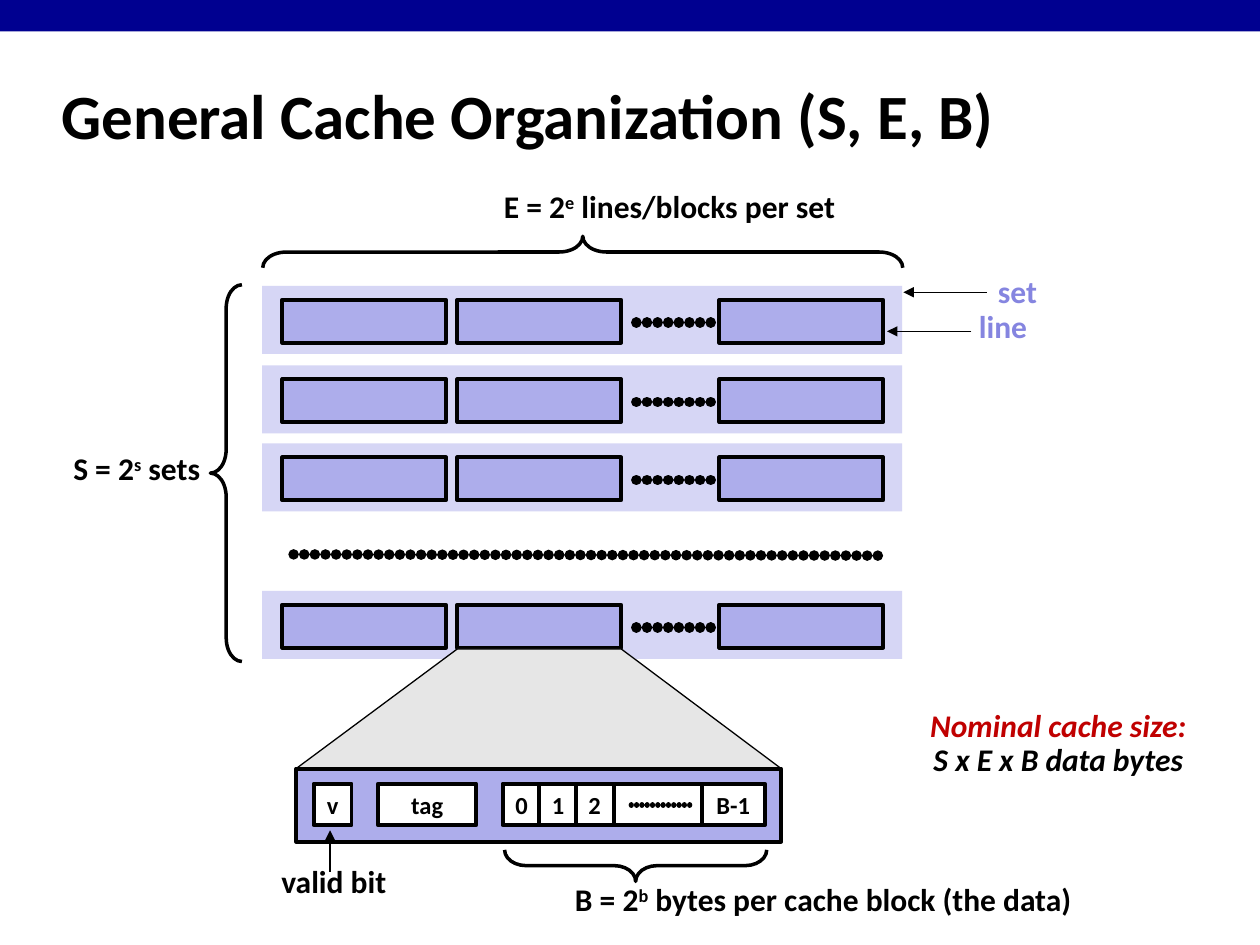
import pptx
import pptx.util
import pptx.dml.color
import pptx.enum.shapes
import pptx.enum.text
import pptx.oxml.ns
from lxml import etree

Inches, Pt = pptx.util.Inches, pptx.util.Pt
SHAPE = pptx.enum.shapes.MSO_SHAPE
ALIGN = pptx.enum.text.PP_ALIGN
ANCHOR = pptx.enum.text.MSO_ANCHOR
qn = pptx.oxml.ns.qn

FONT = "Calibri"
BLACK, WHITE, NAVY, RED = "000000", "FFFFFF", "000090", "C00000"
SET_FILL, LINE_FILL, LABEL, ZOOM_FILL = "D6D6F5", "ADADEB", "8585E0", "E6E6E6"

TITLE = "General Cache Organization (S, E, B)"
# Each label: left, top, width, height, paragraphs of (text, colour); ^x^ is a superscript
LABELS = [
    (3.9, 1.47, 2.83, 0.37, [("E = 2^e^ lines/blocks per set", BLACK)]),
    (0.48, 3.55, 1.21, 0.37, [("S = 2^s^ sets", BLACK)]),
    (7.82, 2.14, 0.51, 0.37, [("set", LABEL)]),
    (7.67, 2.42, 0.58, 0.37, [("line", LABEL)]),
    (2.13, 6.83, 1.04, 0.37, [("valid bit", BLACK)]),
    (4.46, 6.97, 4.15, 0.37, [("B = 2^b^ bytes per cache block (the data)", BLACK)]),
]
SIZE_NOTE = (7.28, 5.59, 2.24, 0.64,
             [("Nominal cache size:", RED), ("S x E x B data bytes", BLACK)])

SET_LEFT, SET_W, SET_H = 2.08, 5.08, 0.54
SET_TOPS = [2.27, 2.9, 3.52, 4.69]
LINE_LEFTS, LINE_W, LINE_H, LINE_INSET = [2.24, 3.63, 5.71], 1.3, 0.34, 0.11

BLOCK = (2.35, 6.1, 3.85, 0.58)
FIELD_TOP, FIELD_H = 6.22, 0.33
FIELDS = [(2.49, 0.3, "v"), (3, 0.78, "tag"), (3.99, 0.3, "0"), (4.28, 0.3, "1"),
          (4.57, 0.3, "2"), (4.87, 0.7, ""), (5.57, 0.5, "B-1")]

# Each brace: left, top, width, height, rotation, curl
BRACES = [(4.5, -0.54, 0.25, 5.08, 90, 0.75),
          (1.67, 2.26, 0.25, 2.99, 0, 0.75),
          (4.92, 5.83, 0.25, 2.08, 270, 0.68)]
ARROWS = [(7.83, 2.32, 7.17, 2.32), (7.71, 2.63, 7.04, 2.63), (2.62, 6.92, 2.62, 6.59)]

prs = pptx.Presentation()
prs.slide_width, prs.slide_height = Inches(10), Inches(7.5)
slide = prs.slides.add_slide(prs.slide_layouts[6])
shapes = slide.shapes


def rgb(color):
    return pptx.dml.color.RGBColor.from_string(color)


def paint(s, fill=None, width=None):
    s.shadow.inherit = False
    if fill:
        s.fill.solid()
        s.fill.fore_color.rgb = rgb(fill)
    else:
        s.fill.background()
    if width:
        s.line.color.rgb = rgb(BLACK)
        s.line.width = Pt(width)
    else:
        s.line.fill.background()


def box(left, top, width, height, fill, line_width=None):
    s = shapes.add_shape(SHAPE.RECTANGLE, *map(Inches, (left, top, width, height)))
    paint(s, fill, line_width)
    return s


def style(r, size, color=BLACK, italic=False):
    r.font.name, r.font.size = FONT, Pt(size)
    r.font.bold, r.font.italic = True, italic
    r.font.color.rgb = rgb(color)


def label(left, top, width, height, lines, italic=False):
    s = shapes.add_textbox(*map(Inches, (left, top, width, height)))
    tf = s.text_frame
    tf.word_wrap = False
    tf.auto_size = pptx.enum.text.MSO_AUTO_SIZE.SHAPE_TO_FIT_TEXT
    for i, (text, color) in enumerate(lines):
        p = tf.add_paragraph() if i else tf.paragraphs[0]
        p.alignment, p.line_spacing = ALIGN.CENTER, 0.9
        for j, part in enumerate(text.split("^")):
            r = p.add_run()
            r.text = part
            style(r, 18, color, italic)
            if j % 2:
                r.font._element.set("baseline", "30000")


def connector(x1, y1, x2, y2, width):
    s = shapes.add_connector(pptx.enum.shapes.MSO_CONNECTOR.STRAIGHT,
                             *map(Inches, (x1, y1, x2, y2)))
    s.line.color.rgb = rgb(BLACK)
    s.line.width = Pt(width)
    etree.SubElement(s._element.spPr, qn("a:effectLst"))
    return s.line._get_or_add_ln()


def arrow(x1, y1, x2, y2):
    etree.SubElement(connector(x1, y1, x2, y2, 0.75), qn("a:tailEnd"), type="triangle")


def dots(x1, y1, x2, y2, width):
    """Draw a row of touching round dots."""
    ln = connector(x1, y1, x2, y2, width)
    ln.set("cap", "rnd")
    dash = etree.SubElement(ln, qn("a:custDash"))
    etree.SubElement(dash, qn("a:ds"), d="1000", sp="100000")


def brace(left, top, width, height, rotation, curl):
    s = shapes.add_shape(SHAPE.LEFT_BRACE, *map(Inches, (left, top, width, height)))
    s.adjustments[0] = curl
    s.rotation = rotation
    paint(s, width=2)


def cache_set(top):
    box(SET_LEFT, top, SET_W, SET_H, SET_FILL)
    for left in LINE_LEFTS:
        box(left, top + LINE_INSET, LINE_W, LINE_H, LINE_FILL, 2.25)
    dots(5.05, top + 0.29, 5.72, top + 0.29, 6)


def zoom():
    """Fan out from the second line of the last set to the block below."""
    left, top, width, _ = BLOCK
    x, y = LINE_LEFTS[1], 5.15
    points = [(x, y), (x + LINE_W, y), (left + width, top)]
    fb = shapes.build_freeform(Inches(left), Inches(top), scale=1.0)
    fb.add_line_segments([(Inches(a), Inches(b)) for a, b in points], close=True)
    paint(fb.convert_to_shape(), ZOOM_FILL, 0.75)


def field(left, width, text):
    s = box(left, FIELD_TOP, width, FIELD_H, WHITE, 2.25)
    if text:
        tf = s.text_frame
        tf.margin_left = tf.margin_right = tf.margin_top = tf.margin_bottom = 0
        tf.vertical_anchor = ANCHOR.MIDDLE
        tf.text = text
        tf.paragraphs[0].alignment = ALIGN.CENTER
        style(tf.paragraphs[0].runs[0], 14)


box(0, 0, 10, 0.25, NAVY)
title = shapes.add_textbox(*map(Inches, (0.39, 0.49, 8.3, 0.83))).text_frame
title.word_wrap = True
title.vertical_anchor = ANCHOR.MIDDLE
title.text = TITLE
style(title.paragraphs[0].runs[0], 36)

for top in SET_TOPS:
    cache_set(top)
dots(2.33, 4.4, 7, 4.41, 6)

zoom()
box(*BLOCK, LINE_FILL, 2.25)
for item in FIELDS:
    field(*item)
dots(5.01, 6.39, 5.51, 6.39, 3)

for item in BRACES:
    brace(*item)
for item in ARROWS:
    arrow(*item)
for item in LABELS:
    label(*item)
label(*SIZE_NOTE, italic=True)

prs.save("out.pptx")
